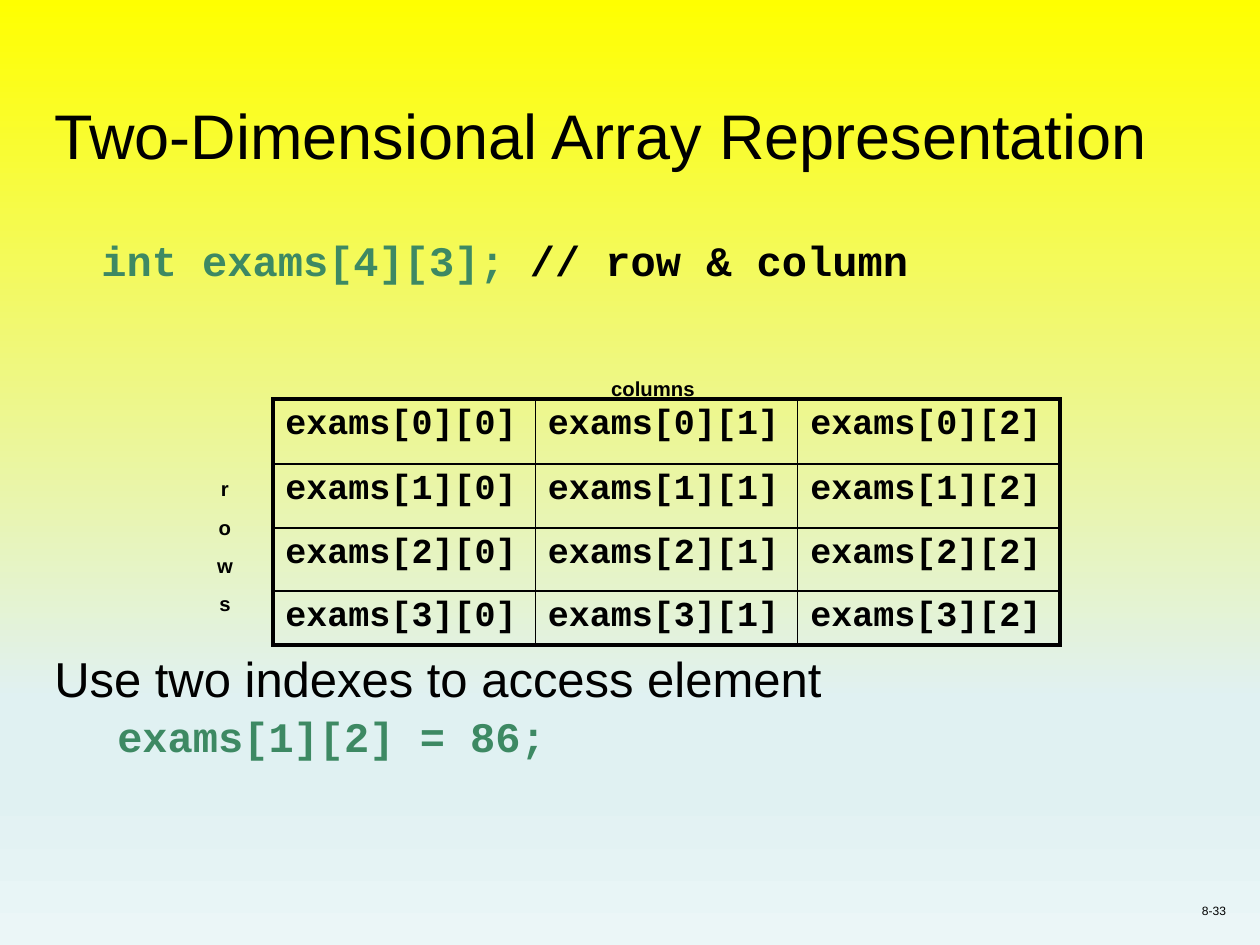
from lxml import etree
from pptx import Presentation
from pptx.dml.color import RGBColor
from pptx.enum.text import MSO_ANCHOR, MSO_AUTO_SIZE, PP_ALIGN
from pptx.oxml.ns import qn
from pptx.util import Cm, Pt

LEFT, CENTER, RIGHT = PP_ALIGN.LEFT, PP_ALIGN.CENTER, PP_ALIGN.RIGHT
TOP, BOTTOM = MSO_ANCHOR.TOP, MSO_ANCHOR.BOTTOM
NO_FIT = MSO_AUTO_SIZE.NONE
COLORS = {"text": "000000", "code": "3D8963", "yellow": "FFFF00",
          "mist": "E0F1F2", "pale": "EBF6F7"}
SANS, MONO = "Arial", "Courier New"


class SlideBuilder:
    def __init__(self, deck):
        self.page = deck.slides.add_slide(deck.slide_layouts[1])

    def background(self, stops):
        fill = self.page.background.fill
        fill.gradient()
        fill.gradient_angle = 270
        stop_list = self.page.element.find(".//" + qn("a:gsLst"))
        for old_stop in list(stop_list):
            stop_list.remove(old_stop)
        for percent, color in stops:
            stop = etree.SubElement(stop_list, qn("a:gs"), pos=str(percent * 1000))
            etree.SubElement(stop, qn("a:srgbClr"), val=COLORS[color])

    def style(self, span, size, face=SANS, color="text", bold=False, subscript=False):
        span.font.size, span.font.name, span.font.bold = Pt(size), face, bold
        span.font.color.rgb = RGBColor.from_string(COLORS[color])
        if subscript:
            span.font._element.set("baseline", "-25000")

    def place(self, box, left, top, width, height, anchor=TOP):
        box.left, box.top, box.width, box.height = map(Cm, (left, top, width, height))
        box.text_frame.auto_size = NO_FIT
        box.text_frame.vertical_anchor = anchor

    def title(self, text, *place):
        box = self.page.shapes.title
        self.place(box, *place, anchor=BOTTOM)
        box.text_frame.text = text
        para = box.text_frame.paragraphs[0]
        para.alignment = LEFT
        self.style(para.runs[0], 36)

    def body(self, lines, *place):
        box = self.page.placeholders[1]
        self.place(box, *place)
        box.text_frame.margin_top = Cm(0.39)
        box.text_frame.margin_right = 0
        for number, (level, margin, indent, before, spans) in enumerate(lines):
            para = box.text_frame.paragraphs[0] if number == 0 else box.text_frame.add_paragraph()
            para.level, para.line_spacing, para.space_before = level, 0.9, Pt(before)
            props = para._p.get_or_add_pPr()
            props.set("marL", str(Cm(margin)))
            props.set("indent", str(Cm(indent)))
            etree.SubElement(props, qn("a:buNone"))
            for text, look in spans:
                span = para.add_run()
                span.text = text
                self.style(span, **look)

    def label(self, text, *place, size=20, bold=True, align=LEFT, anchor=TOP,
              spacing=1.0, wrap=False):
        box = self.page.shapes.add_textbox(0, 0, 0, 0)
        self.place(box, *place, anchor=anchor)
        box.text_frame.word_wrap = wrap
        box.text_frame.text = text
        for para in box.text_frame.paragraphs:
            para.alignment, para.line_spacing = align, spacing
            self.style(para.runs[0], size, bold=bold, subscript=True)

    def border(self, cell, side, width):
        line = etree.SubElement(cell._tc.get_or_add_tcPr(), qn("a:ln" + side),
                                w=str(Pt(width)))
        solid = etree.SubElement(line, qn("a:solidFill"))
        etree.SubElement(solid, qn("a:srgbClr"), val=COLORS["text"])

    def array_table(self, name, left, top, column_width, columns, heights):
        rows = len(heights)
        table = self.page.shapes.add_table(
            rows, columns, Cm(left), Cm(top),
            Cm(column_width * columns), Cm(sum(heights))).table
        table.first_row = table.horz_banding = False
        for column in table.columns:
            column.width = Cm(column_width)
        for row, height in enumerate(heights):
            table.rows[row].height = Cm(height)
            for column in range(columns):
                cell = table.cell(row, column)
                cell.text = f"{name}[{row}][{column}]"
                self.style(cell.text_frame.paragraphs[0].runs[0], 20, MONO, bold=True)
                # Heavy outline, thin inner grid
                outer = {"L": column == 0, "R": column == columns - 1,
                         "T": row == 0, "B": row == rows - 1}
                for side, heavy in outer.items():
                    self.border(cell, side, 2.25 if heavy else 1)
                cell.fill.background()


deck = Presentation()
deck.slide_width, deck.slide_height = Cm(25.4), Cm(19.05)
slide = SlideBuilder(deck)
slide.background([(0, "yellow"), (74, "mist"), (83, "mist"), (100, "pale")])

# Title and text, with room left for the table
code = {"size": 24, "face": MONO, "color": "code", "bold": True}
slide.title("Two-Dimensional Array Representation", 0.84, 0.83, 23.93, 2.77)
slide.body([
    (0, 0.95, 0, 12, [("int exams[4][3]; ", code),
                      ("// row & column", {**code, "color": "text"})]),
    (0, 0.95, -0.95, 211, [("Use two indexes to access element", {"size": 28})]),
    (1, 2.06, -0.79, 5, [("exams[1][2] = 86;", code)]),
], 0.84, 4.45, 23.04, 12.7)

# Array table with its labels
slide.array_table("exams", 5.5, 8.04, 5.29, 3, [1.31, 1.29, 1.27, 1.09])
slide.label("columns", 12.07, 6.99, 3.4, 1.09)
slide.label("\n".join("rows"), 4.0, 9.1, 1.07, 2.97, align=CENTER, spacing=0.8)

# Page number
slide.label("8-33", 19.69, 17.35, 5.28, 1.27, size=12, bold=False,
            align=RIGHT, anchor=BOTTOM, wrap=True)

deck.save("out.pptx")
